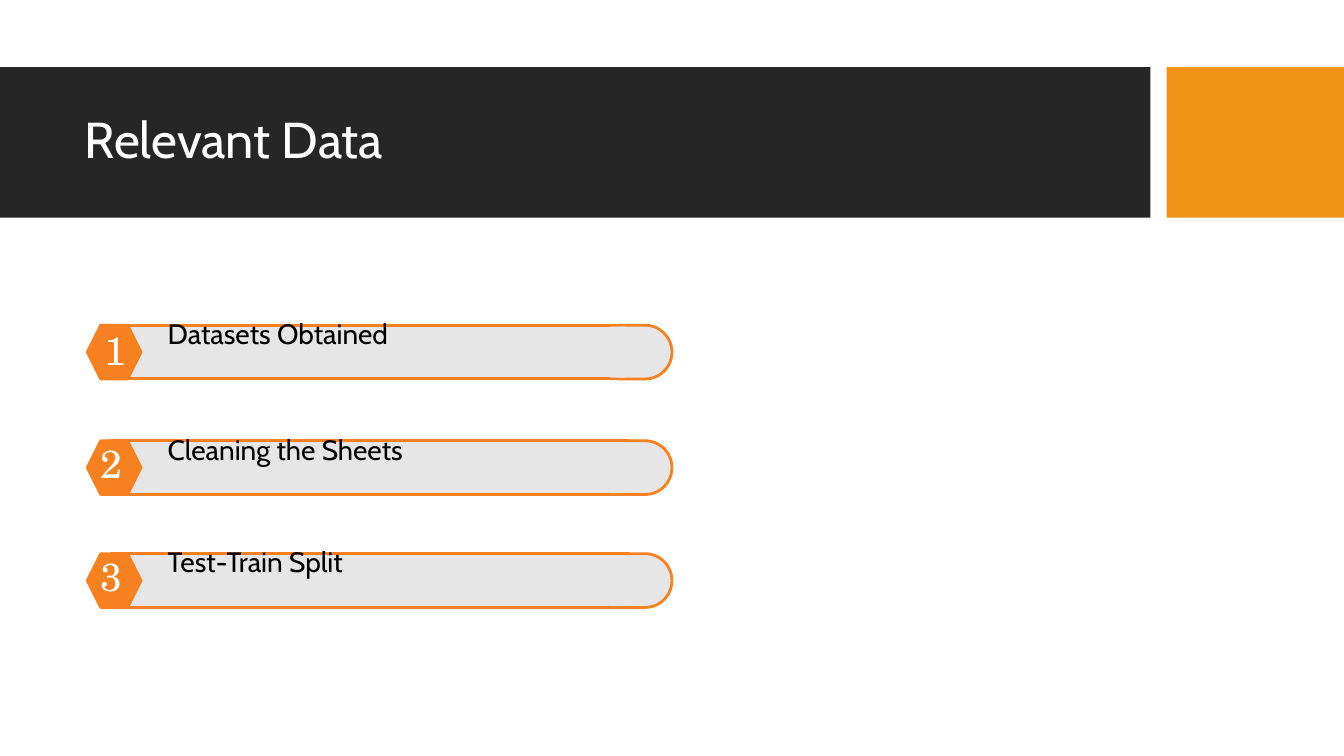
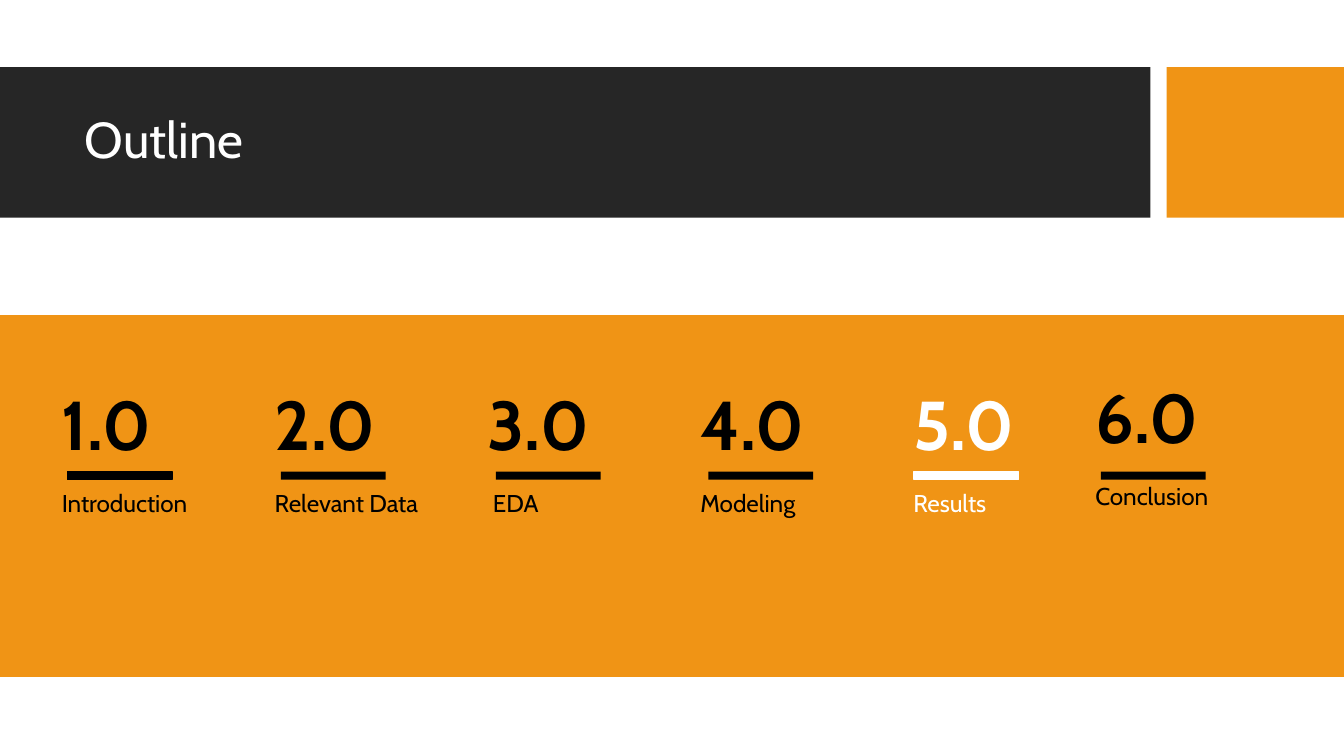
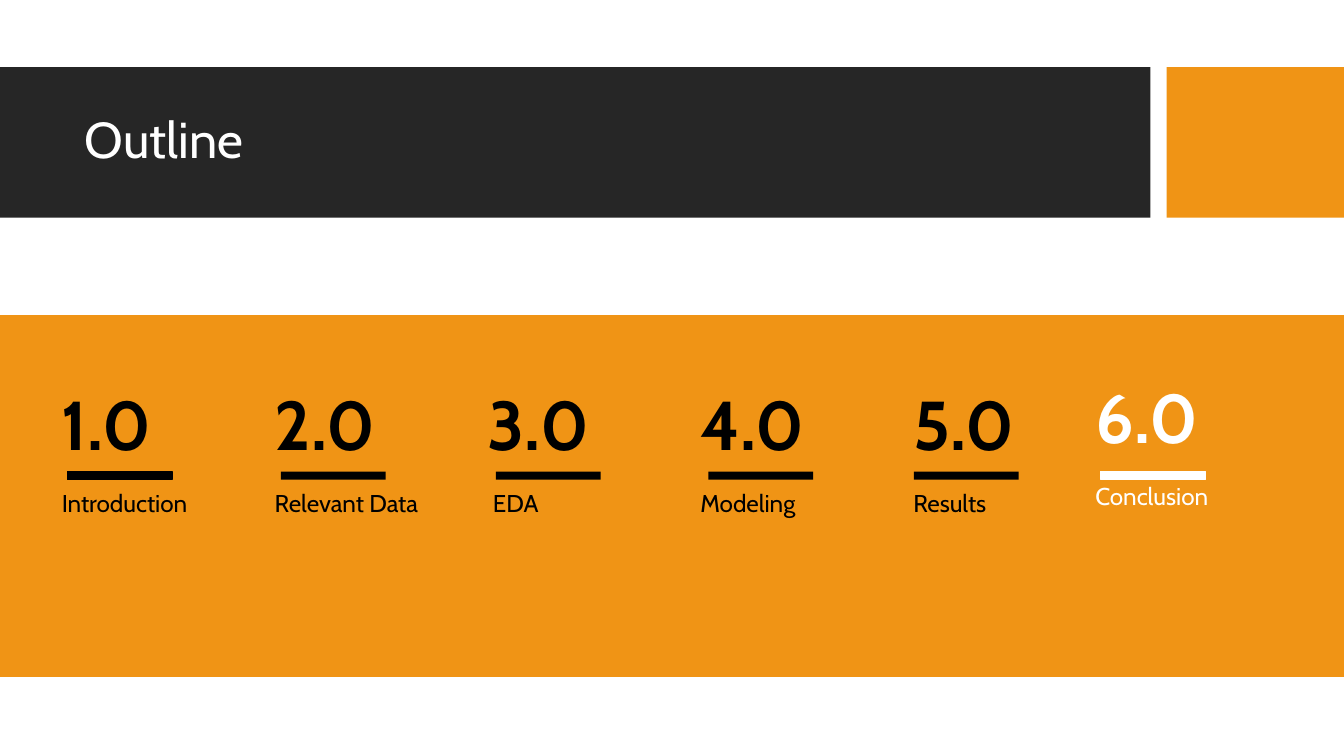
from pptx import Presentation
from pptx.dml.color import RGBColor
from pptx.enum.shapes import MSO_SHAPE
from pptx.enum.text import MSO_ANCHOR
from pptx.oxml.ns import qn
from pptx.util import Inches, Pt

WHITE = RGBColor(0xFF, 0xFF, 0xFF)
BLACK = RGBColor(0x00, 0x00, 0x00)
DARK = RGBColor(0x26, 0x26, 0x26)
GOLD = RGBColor(0xF0, 0x94, 0x15)
ORANGE = RGBColor(0xF7, 0x81, 0x21)
GREY = RGBColor(0xE7, 0xE6, 0xE6)
SANS = "Cabin"
SERIF = "TeX Gyre Schola"
PLAIN = "{2D5ABB26-0587-4C30-8999-92F81FD0307C}"  # table style without grid


def draw(slide, kind, box, fill, line=None, width=0.75):
    shape = slide.shapes.add_shape(kind, *map(Inches, box))
    shape.shadow.inherit = False
    shape.fill.solid()
    shape.fill.fore_color.rgb = fill
    if line is None:
        shape.line.fill.background()
    else:
        shape.line.color.rgb = line
        shape.line.width = Pt(width)
    return shape


def write(holder, text, size, color, font=SANS, pad=(0.1, 0.1), bold=False, space=0.9):
    """Fill a text frame or a table cell; pad is the side and the top margin."""
    holder.margin_left = holder.margin_right = Inches(pad[0])
    holder.margin_top = holder.margin_bottom = Inches(pad[1])
    frame = holder.text_frame if hasattr(holder, "text_frame") else holder
    frame.word_wrap = True
    para = frame.paragraphs[0]
    para.line_spacing = space
    run = para.add_run()
    run.text = text
    run.font.name = font
    run.font.size = Pt(size)
    run.font.bold = bold
    run.font.color.rgb = color


deck = Presentation()
deck.slide_width = Inches(10)
deck.slide_height = Inches(10 * 9 / 16)

# Shared header
slides = []
for title in ("Relevant Data", "Outline", "Outline"):
    slide = deck.slides.add_slide(deck.slide_layouts[6])
    draw(slide, MSO_SHAPE.RECTANGLE, (0, 0.5, 8.56, 1.12), DARK)
    draw(slide, MSO_SHAPE.RECTANGLE, (8.68, 0.5, 1.32, 1.12), GOLD)
    box = slide.shapes.add_textbox(Inches(0.56), Inches(0.61), Inches(7.89), Inches(0.89))
    box.text_frame.vertical_anchor = MSO_ANCHOR.MIDDLE
    write(box.text_frame, title, 27, WHITE, pad=(0.07, 0.04))
    slides.append(slide)

# Slide 1: numbered steps
steps = [
    # top, number left, number top, label top, label
    (2.42, 0.68, 2.33, 2.28, "Datasets Obtained"),
    (3.28, 0.65, 3.17, 3.15, "Cleaning the Sheets"),
    (4.12, 0.65, 4.01, 3.98, "Test-Train Split"),
]
slide = slides[0]
for num, (top, left, high, low, label) in enumerate(steps, 1):
    draw(slide, MSO_SHAPE.RECTANGLE, (0.83, top, 3.85, 0.4), GREY, ORANGE, 1.5)
    draw(slide, MSO_SHAPE.RECTANGLE, (0.79, top + 0.01, 0.11, 0.38), GREY)
    badge = draw(slide, MSO_SHAPE.HEXAGON, (0.65, top, 0.4, 0.4), ORANGE, ORANGE, 1.5)
    badge.adjustments[0] = 0.25
    draw(slide, MSO_SHAPE.FLOWCHART_DELAY, (4.6, top, 0.4, 0.4), GREY, ORANGE, 1.5)
    draw(slide, MSO_SHAPE.RECTANGLE, (4.54, top + 0.01, 0.11, 0.38), GREY)
    box = slide.shapes.add_textbox(Inches(left), Inches(high), Inches(0.4), Inches(0.52))
    write(box.text_frame, str(num), 21, WHITE, SERIF, space=1.0)
    box = slide.shapes.add_textbox(Inches(1.15), Inches(low), Inches(3.74), Inches(0.52))
    write(box.text_frame, label, 15, BLACK)

# Slides 2 and 3: outline with one part lit
parts = ["Introduction", "Relevant Data", "EDA", "Modeling", "Results", "Conclusion"]
bars = [0.5, 2.09, 3.69, 5.27, 6.8, 8.19]
grids = [(0.36, 2.8, 0, 5), (8.05, 2.75, 5, 6)]  # left, top, first part, end
for slide, lit in zip(slides[1:], (4, 5)):
    tints = [WHITE if i == lit else BLACK for i in range(len(parts))]
    draw(slide, MSO_SHAPE.RECTANGLE, (0, 2.35, 10, 2.68), GOLD, GOLD)
    for left, top, first, end in grids:
        count = end - first
        frame = slide.shapes.add_table(
            3, count, Inches(left), Inches(top), Inches(7.92 * count / 5), Inches(1.26))
        table = frame.table
        table.first_row = table.horz_banding = False
        for style in frame._element.iter(qn("a:tableStyleId")):
            style.text = PLAIN
        for cell in table.iter_cells():
            cell.fill.background()
        for col, i in enumerate(range(first, end)):
            write(table.cell(0, col), f"{i + 1}.0", 37, tints[i], bold=True)
            side = 0.14 if parts[i] == "EDA" else 0.1
            write(table.cell(1, col), parts[i], 13, tints[i], pad=(side, 0.1))
    for i, left in enumerate(bars):
        edge = tints[i] if i in (0, lit) else None
        draw(slide, MSO_SHAPE.RECTANGLE, (left, 3.51, 0.78, 0.06), tints[i], edge)

deck.save("out.pptx")
